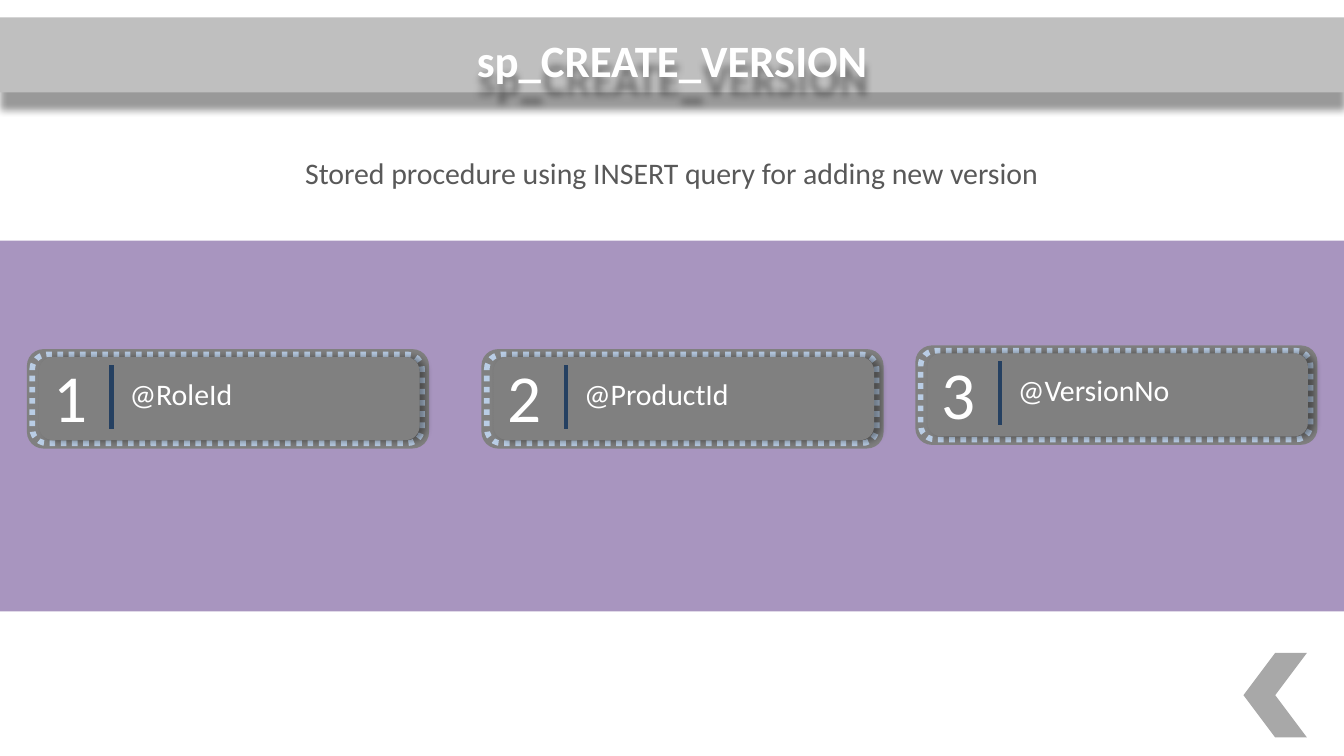
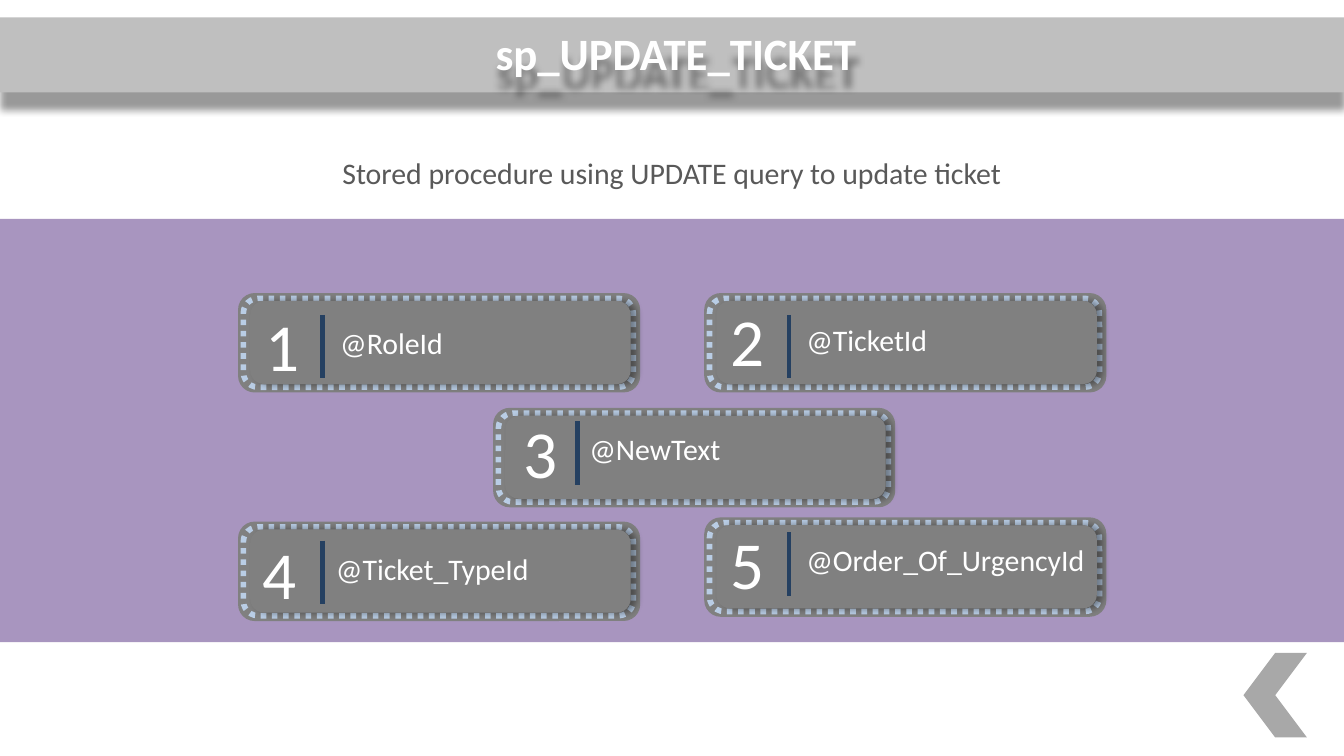
import lxml.etree
import pptx
import pptx.dml.color
import pptx.enum.dml
import pptx.enum.shapes
import pptx.enum.text
import pptx.oxml.ns
import pptx.util

Cm, Pt = pptx.util.Cm, pptx.util.Pt
Rgb = pptx.dml.color.RGBColor.from_string
qn = pptx.oxml.ns.qn
Kind = pptx.enum.shapes.MSO_SHAPE
Align = pptx.enum.text.PP_ALIGN

FONT = "Calibri"
HUES = {
    "panel": "8064A2",
    "card": "808080",
    "dots": "B9CDE5",
    "bar": "254061",
    "band": "BFBFBF",
    "note": "595959",
    "white": "FFFFFF",
}
WIDE = 25.4

# Each card: x, y, label, digit shift (x, y), bar y, label shift (x, y)
PAGES = [
    {
        "title": "sp_CREATE_VERSION",
        "top": 0.51,
        "left": 0,
        "note": "Stored procedure using INSERT query for adding new version",
        "panel": (4.55, 7.01),
        "cards": [
            (0.51, 6.6, "@RoleId", 0, 0, 0.3, 1.69, 0.37),
            (9.1, 6.6, "@ProductId", 0, 0, 0.3, 1.69, 0.37),
            (17.3, 6.53, "@VersionNo", 0, 0, 0.3, 1.69, 0.37),
        ],
    },
    {
        "title": "sp_UPDATE_TICKET",
        "top": 0.38,
        "left": 0.15,
        "note": "Stored procedure using UPDATE query to update ticket",
        "panel": (4.14, 8),
        "cards": [
            (4.5, 5.54, "@RoleId", 0.02, 0.08, 0.41, 1.68, 0.48),
            (13.31, 5.54, "@TicketId", 0, 0, 0.41, 1.68, 0.41),
            (9.32, 7.71, "@NewText", 0.09, -0.05, 0.25, 1.57, 0.3),
            (4.5, 9.86, "@Ticket_TypeId", -0.04, 0.08, 0.36, 1.6, 0.43),
            (13.31, 9.78, "@Order_Of_UrgencyId", 0, -0.03, 0.28, 1.68, 0.33),
        ],
    },
]


def shade(shape, dist, angle):
    """Give the shape a soft black shadow, dist in points and angle in degrees."""
    shape.shadow.inherit = False
    effects = shape._element.spPr.find(qn("a:effectLst"))
    outer = lxml.etree.SubElement(
        effects, qn("a:outerShdw"), blurRad=str(Pt(4)), dist=str(Pt(dist)),
        dir=str(angle * 60000), algn="t", rotWithShape="0")
    black = lxml.etree.SubElement(outer, qn("a:srgbClr"), val="000000")
    lxml.etree.SubElement(black, qn("a:alpha"), val="40000")


def block(slide, kind, x, y, w, h, hue, alpha=100):
    """Add a flat, unlined shape; lengths in cm, alpha in percent."""
    shape = slide.shapes.add_shape(kind, Cm(x), Cm(y), Cm(w), Cm(h))
    shape.shadow.inherit = False
    shape.fill.solid()
    shape.fill.fore_color.rgb = Rgb(HUES[hue])
    shape.line.fill.background()
    if alpha < 100:
        tint = shape._element.spPr.find(qn("a:solidFill"))[0]
        lxml.etree.SubElement(tint, qn("a:alpha"), val=str(alpha * 1000))
    return shape


deck = pptx.Presentation()
deck.slide_width, deck.slide_height = Cm(WIDE), Cm(14.29)

for page in PAGES:
    slide = deck.slides.add_slide(deck.slide_layouts[5])
    top, height = page["panel"]
    block(slide, Kind.RECTANGLE, 0, top, WIDE, height, "panel", 68)
    band = block(slide, Kind.RECTANGLE, 0, 0.33, WIDE, 1.42, "band")
    shade(band, 9, 90)

    title = slide.shapes.title
    slide.shapes._spTree.append(title._element)  # bring in front of the band
    title.left, title.top = Cm(page["left"]), Cm(page["top"])
    title.width, title.height = Cm(WIDE - page["left"]), Cm(1.22)
    shade(title, 9, 90)
    frame = title.text_frame
    frame.auto_size = pptx.enum.text.MSO_AUTO_SIZE.NONE
    frame.vertical_anchor = pptx.enum.text.MSO_ANCHOR.TOP
    frame.margin_left = frame.margin_right = Cm(0.18)
    frame.margin_top = frame.margin_bottom = Cm(0.1)
    frame.text = page["title"]
    head = frame.paragraphs[0]
    head.alignment = Align.CENTER
    head.font.name, head.font.size, head.font.bold = FONT, Pt(24), True
    head.font.color.rgb = Rgb(HUES["white"])

    texts = [(page["note"], 0, 2.79, WIDE, 0.94, 16, "note", Align.CENTER)]
    for num, card in enumerate(page["cards"], 1):
        x, y, label, digit_x, digit_y, bar_y, label_x, label_y = card
        block(slide, Kind.ROUNDED_RECTANGLE, x, y, 7.6, 1.88, "card")
        ring = block(slide, Kind.ROUNDED_RECTANGLE,
                     x + 0.1, y + 0.1, 7.37, 1.68, "card")
        ring.line.color.rgb = Rgb(HUES["dots"])
        ring.line.width = Pt(3)
        ring.line.dash_style = pptx.enum.dml.MSO_LINE.ROUND_DOT
        core = block(slide, Kind.ROUNDED_RECTANGLE,
                     x + 0.23, y + 0.15, 7.19, 1.57, "card")
        shade(core, 3, 0)

        bar = slide.shapes.add_connector(
            pptx.enum.shapes.MSO_CONNECTOR.STRAIGHT,
            Cm(x + 1.6), Cm(y + bar_y), Cm(x + 1.6), Cm(y + bar_y + 1.2))
        bar.line.color.rgb = Rgb(HUES["bar"])
        bar.line.width = Pt(2.5)
        lxml.etree.SubElement(bar._element.spPr, qn("a:effectLst"))

        texts += [
            (str(num), x + digit_x, y + digit_y, 1.63, 1.8,
             36, "white", Align.CENTER),
            (label, x + label_x, y + label_y, 5.92, 0.94,
             16, "white", Align.LEFT),
        ]

    for text, x, y, w, h, size, hue, align in texts:
        box = slide.shapes.add_textbox(Cm(x), Cm(y), Cm(w), Cm(h))
        box.text_frame.word_wrap = True
        box.text_frame.text = text
        para = box.text_frame.paragraphs[0]
        para.alignment = align
        para.font.name, para.font.size = FONT, Pt(size)
        para.font.color.rgb = Rgb(HUES[hue])

    back = block(slide, Kind.CHEVRON, 23.5, 12.34, 1.2, 1.6, "card", 68)
    back.rotation = 180

deck.save("out.pptx")
